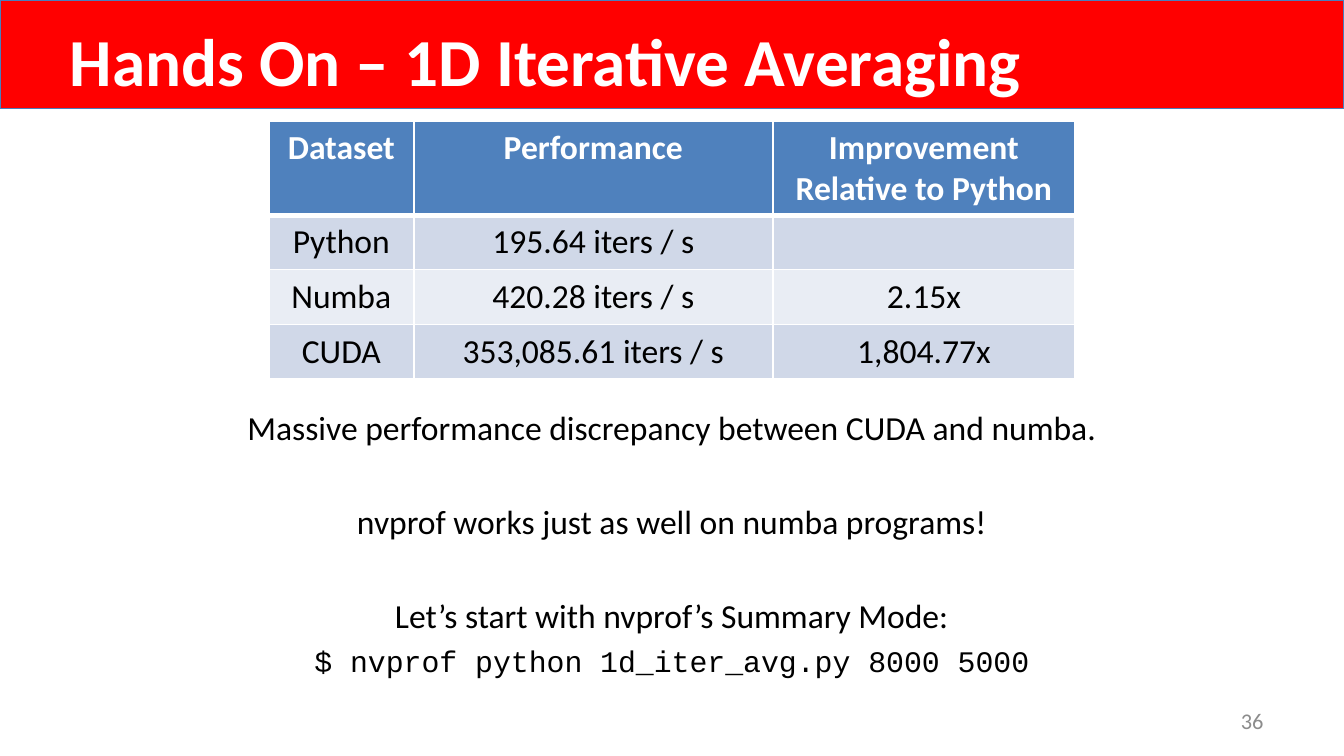
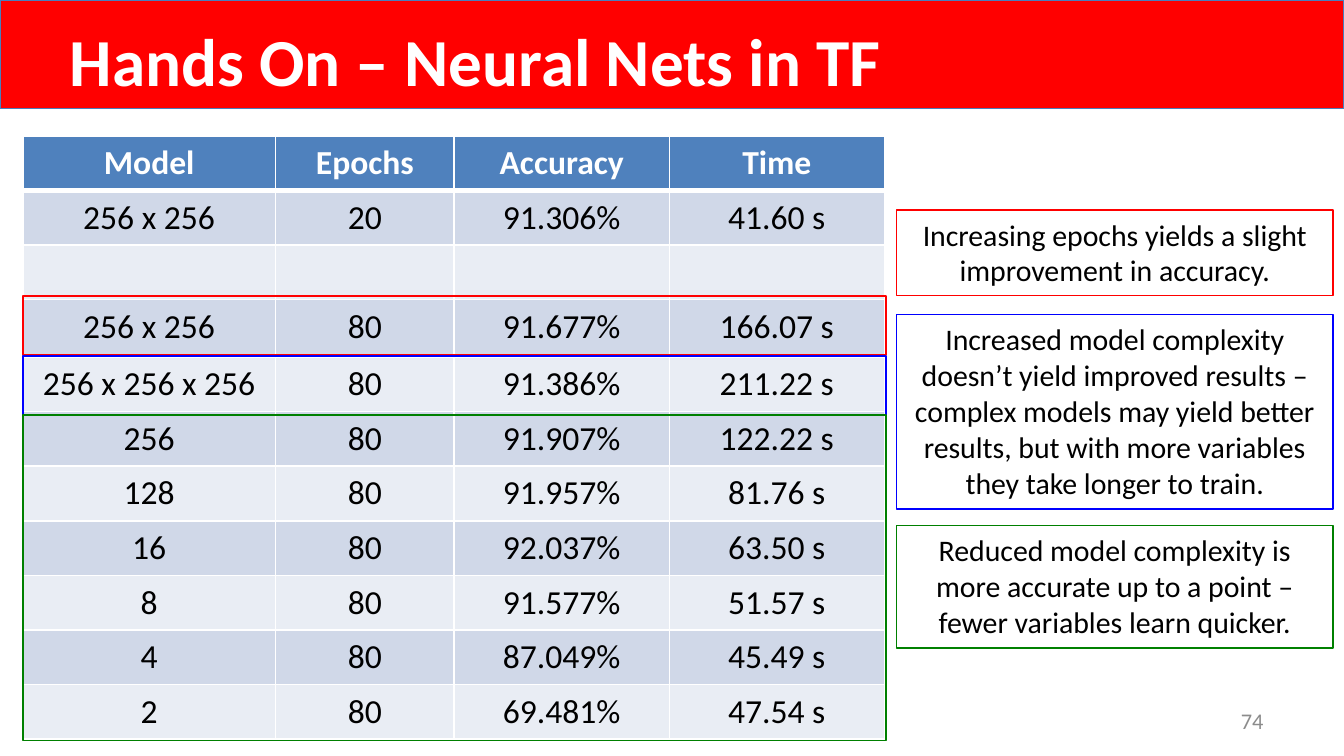
from dataclasses import dataclass

from lxml import etree
from pptx import Presentation
from pptx.dml.color import RGBColor
from pptx.enum import shapes, text
from pptx.oxml import ns
from pptx.util import Inches, Pt

RED, BLUE, GREEN = "FF0000", "0000FF", "008000"
WHITE, BLACK, GREY = "FFFFFF", "000000", "8C8C8C"
HEADER, BANDS = "4F81BD", ("E9EDF4", "D0D8E8")
LEFT, CENTER, RIGHT = text.PP_ALIGN.LEFT, text.PP_ALIGN.CENTER, text.PP_ALIGN.RIGHT
TOP, MIDDLE = text.MSO_ANCHOR.TOP, text.MSO_ANCHOR.MIDDLE


@dataclass
class Box:
    left: float
    top: float
    width: float
    height: float

    def lengths(self):
        return [Inches(v) for v in (self.left, self.top, self.width, self.height)]


@dataclass
class Line:
    words: str
    size: float = 18
    font: str = "Calibri"
    before: float = 0


@dataclass
class Grid:
    """A table; all rows but the tall one share the remaining height equally."""
    box: Box
    widths: tuple
    tall_row: int
    tall_height: float
    rows: list


@dataclass
class Finding:
    """A remark and the outline of the table rows it speaks of."""
    color: str
    words: str
    box: Box
    outline: Box


def rgb(color: str) -> RGBColor:
    return RGBColor.from_string(color)


def write(frame, lines: list, color: str = BLACK, align=CENTER, anchor=TOP,
          bold: bool = False, grow: bool = False) -> None:
    frame.word_wrap = True
    frame.vertical_anchor = anchor
    fit = text.MSO_AUTO_SIZE
    frame.auto_size = fit.SHAPE_TO_FIT_TEXT if grow else fit.NONE
    for index, line in enumerate(lines):
        para = frame.add_paragraph() if index else frame.paragraphs[0]
        style_paragraph(para, line, color, align, bold)


def style_paragraph(para, line: Line, color: str, align, bold: bool) -> None:
    para.alignment = align
    para.space_before = Pt(line.before)
    span = para.add_run()
    span.text = line.words
    looks = {"name": line.font, "size": Pt(line.size), "bold": bold}
    for name, value in looks.items():
        setattr(span.font, name, value)
    span.font.color.rgb = rgb(color)


def add_rectangle(page, box: Box, line: str, width: float = 1, fill: str = ""):
    shape = page.shapes.add_shape(shapes.MSO_SHAPE.RECTANGLE, *box.lengths())
    shape.shadow.inherit = False
    shape.line.color.rgb = rgb(line)
    shape.line.width = Pt(width)
    if fill:
        shape.fill.solid()
        shape.fill.fore_color.rgb = rgb(fill)
    else:
        shape.fill.background()
    return shape


def add_text(page, box: Box, lines: list, **options) -> None:
    write(page.shapes.add_textbox(*box.lengths()).text_frame, lines, **options)


def add_page(deck, title: str, title_width: float, number: int):
    page = deck.slides.add_slide(deck.slide_layouts.get_by_name("Title Only"))
    heading = page.shapes.title
    band = add_rectangle(page, Box(0, 0, 10, 0.81), "4B7EBC", 0.75, RED)
    heading.element.addprevious(band.element)
    places = ("left", "top", "width", "height")
    for name, value in zip(places, Box(0.42, 0.09, title_width, 0.71).lengths()):
        setattr(heading, name, value)
    write(heading.text_frame, [Line(title, 36)], WHITE, LEFT, bold=True, grow=True)
    add_text(page, Box(7.17, 5.21, 2.33, 0.3), [Line(str(number), 12)],
             color=GREY, align=RIGHT, anchor=MIDDLE)
    return page


def add_borders(cell, row: int) -> None:
    """Thin white rules, with a thick one below the header."""
    widths = {"L": 1, "R": 1, "T": 3 if row == 1 else 1, "B": 1 if row else 3}
    properties = cell._tc.get_or_add_tcPr()
    for side, width in widths.items():
        rule = etree.SubElement(properties, ns.qn(f"a:ln{side}"), w=str(Pt(width)))
        fill = etree.SubElement(rule, ns.qn("a:solidFill"))
        etree.SubElement(fill, ns.qn("a:srgbClr"), val=WHITE)


def add_grid(page, grid: Grid) -> None:
    count = len(grid.rows)
    table = page.shapes.add_table(count, len(grid.widths), *grid.box.lengths()).table
    for column, width in zip(table.columns, grid.widths):
        column.width = Inches(width)
    shared = (grid.box.height - grid.tall_height) / (count - 1)
    for index, words in enumerate(grid.rows):
        tall = index == grid.tall_row
        table.rows[index].height = Inches(grid.tall_height if tall else shared)
        for column, word in enumerate(words):
            cell = table.cell(index, column)
            add_borders(cell, index)
            cell.fill.solid()
            cell.fill.fore_color.rgb = rgb(BANDS[index % 2] if index else HEADER)
            if word:
                style_paragraph(cell.text_frame.paragraphs[0], Line(word),
                                BLACK if index else WHITE, CENTER, not index)


PERFORMANCE = Grid(Box(2, 0.9, 6, 1.92), (1.08, 2.67, 2.25), 0, 0.7, [
    ("Dataset", "Performance", "Improvement Relative to Python"),
    ("Python", "195.64 iters / s", ""),
    ("Numba", "420.28 iters / s", "2.15x"),
    ("CUDA", "353,085.61 iters / s", "1,804.77x"),
])

PROFILING = [
    Line("Massive performance discrepancy between CUDA and numba."),
    Line("nvprof works just as well on numba programs!", before=28.8),
    Line("Let’s start with nvprof’s Summary Mode:", before=28.8),
    Line("$ nvprof python 1d_iter_avg.py 8000 5000", 16, "Courier New", 4),
]

MODELS = Grid(Box(0.17, 1.01, 6.42, 4.49), (1.88, 1.33, 1.6, 1.6), 3, 0.43, [
    ("Model", "Epochs", "Accuracy", "Time"),
    ("256 x 256", "20", "91.306%", "41.60 s"),
    ("", "", "", ""),
    ("256 x 256", "80", "91.677%", "166.07 s"),
    ("256 x 256 x 256", "80", "91.386%", "211.22 s"),
    ("256", "80", "91.907%", "122.22 s"),
    ("128", "80", "91.957%", "81.76 s"),
    ("16", "80", "92.037%", "63.50 s"),
    ("8", "80", "91.577%", "51.57 s"),
    ("4", "80", "87.049%", "45.49 s"),
    ("2", "80", "69.481%", "47.54 s"),
])

FINDINGS = [
    Finding(RED, "Increasing epochs yields a slight improvement in accuracy.",
            Box(6.67, 1.56, 3.25, 0.64), Box(0.17, 2.2, 6.42, 0.44)),
    Finding(BLUE, "Increased model complexity doesn’t yield improved results – "
            "complex models may yield better results, but with more variables "
            "they take longer to train.",
            Box(6.67, 2.34, 3.25, 1.45), Box(0.17, 2.65, 6.42, 0.44)),
    Finding(GREEN, "Reduced model complexity is more accurate up to a point – "
            "fewer variables learn quicker.",
            Box(6.67, 3.91, 3.25, 0.91), Box(0.17, 3.09, 6.42, 2.42)),
]


def main() -> None:
    deck = Presentation()
    deck.slide_width = Inches(10)
    deck.slide_height = Inches(10) * 9 // 16

    averaging = add_page(deck, "Hands On – 1D Iterative Averaging", 8.67, 36)
    add_text(averaging, Box(0.5, 2.98, 9, 2.05), PROFILING)
    add_grid(averaging, PERFORMANCE)

    networks = add_page(deck, "Hands On – Neural Nets in TF", 7.58, 74)
    add_grid(networks, MODELS)
    for finding in FINDINGS:
        remark = add_rectangle(networks, finding.box, finding.color)
        write(remark.text_frame, [Line(finding.words, 16)], grow=True)
    for finding in FINDINGS:
        add_rectangle(networks, finding.outline, finding.color)

    deck.save("out.pptx")


if __name__ == "__main__":
    main()
